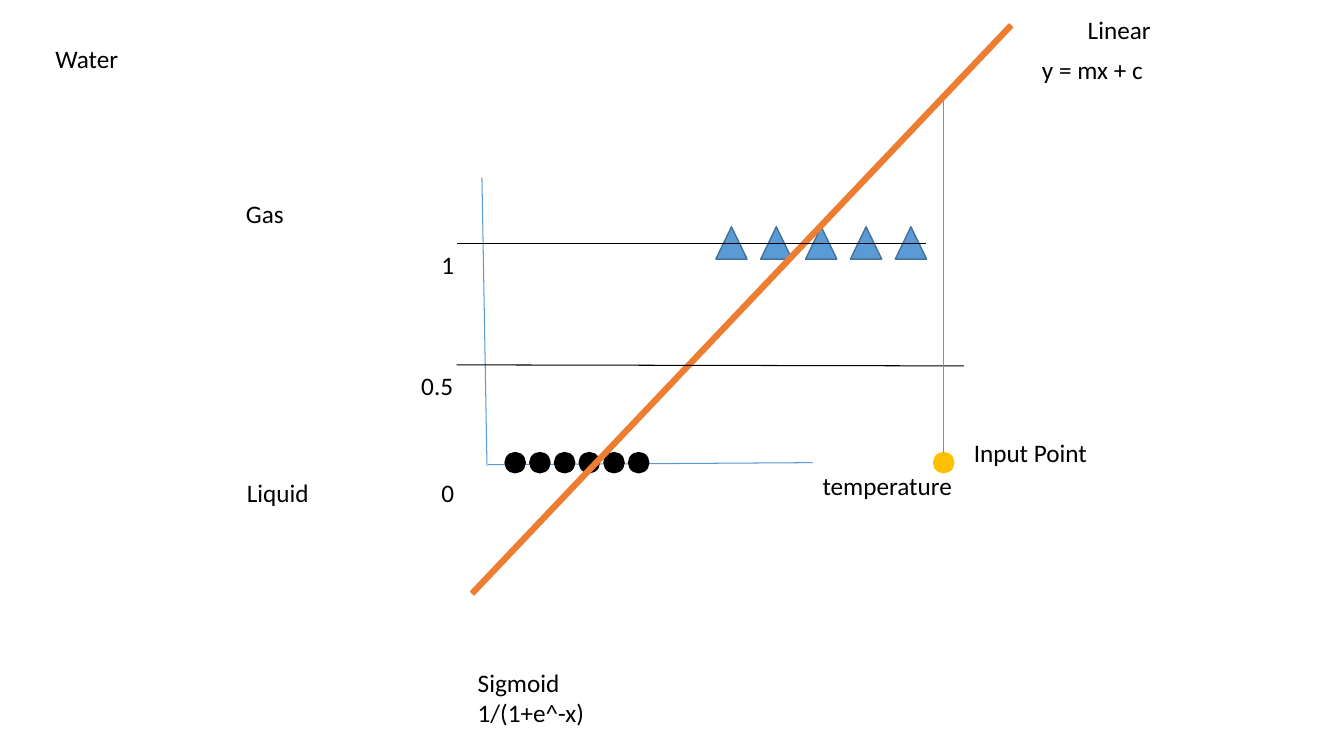
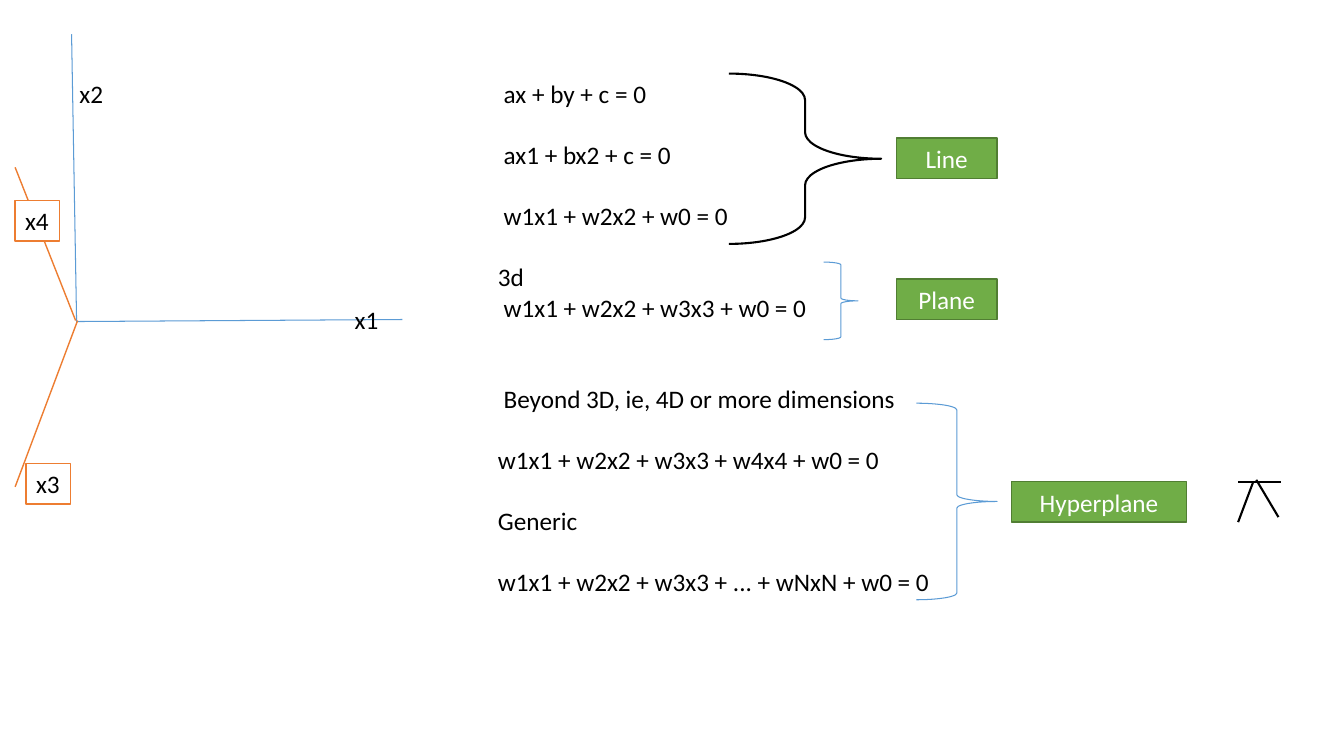
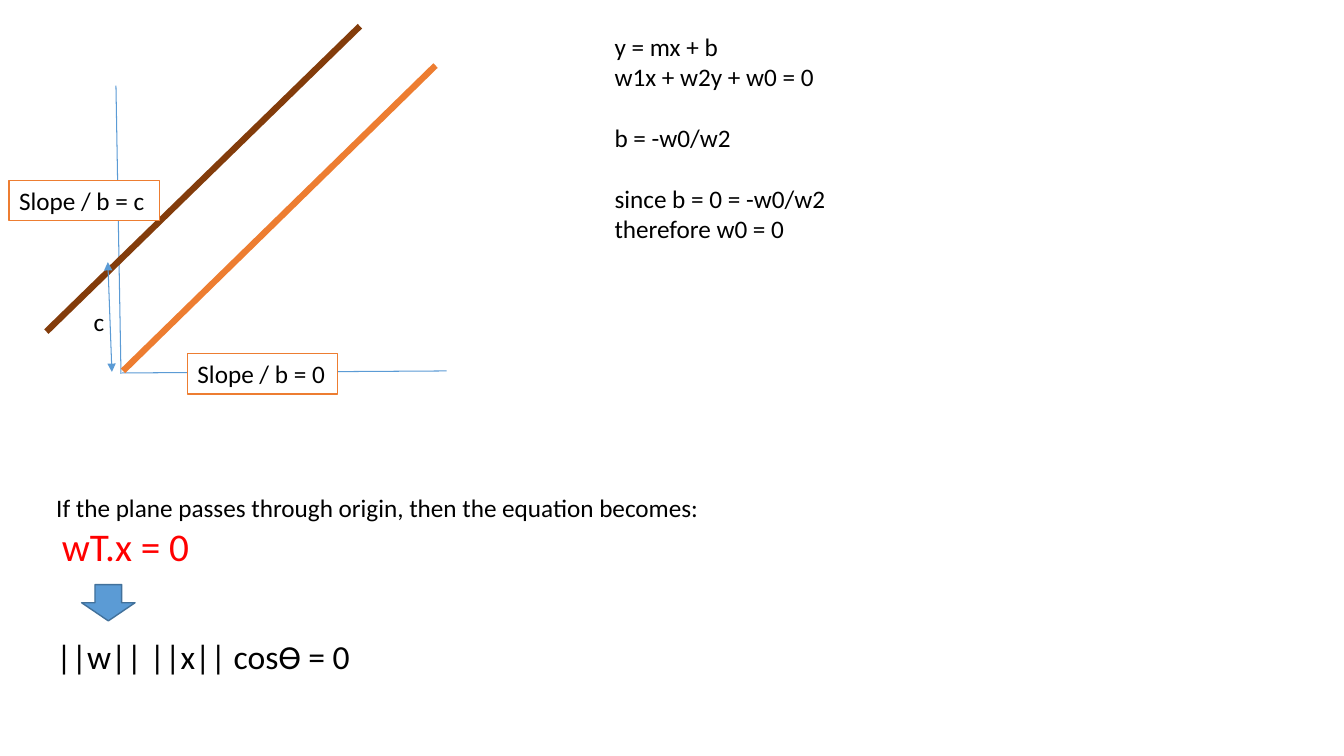
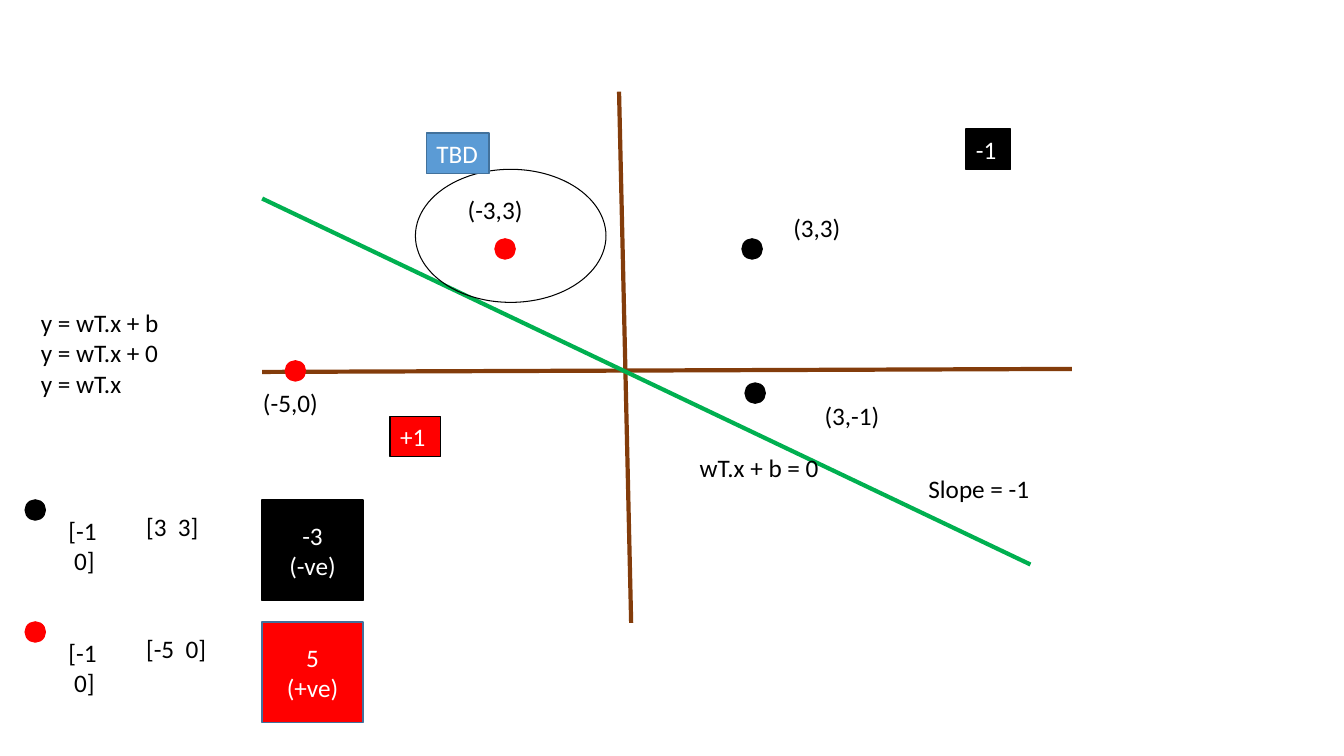
import pptx
import pptx.dml.color
import pptx.enum.shapes
import pptx.enum.text
import pptx.oxml
import pptx.oxml.ns
import pptx.util

Inches = pptx.util.Inches
Pt = pptx.util.Pt
Shape = pptx.enum.shapes.MSO_SHAPE

BLACK, WHITE, RED = "000000", "FFFFFF", "FF0000"
BLUE, DARK_BLUE = "5B9BD5", "42719B"
ORANGE, BROWN, YELLOW = "ED7D31", "833C0B", "FFC000"
GREEN, DARK_GREEN, BRIGHT_GREEN = "70AD47", "517E33", "00B050"


def rgb(color):
    return pptx.dml.color.RGBColor.from_string(color)


def add_drawing_element(parent, tag, **attributes):
    """Append an empty DrawingML element to parent."""
    element = pptx.oxml.parse_xml(f"<a:{tag} {pptx.oxml.ns.nsdecls('a')}/>")
    for name, value in attributes.items():
        element.set(name, value)
    parent.append(element)


class Deck:
    FONT = "Calibri"
    SIZE = 18
    LINE_HEIGHT = 22
    DOT = 0.2
    LABEL_HEIGHT = 0.4

    def __init__(self):
        self.presentation = pptx.Presentation()
        self.presentation.slide_width = Inches(13.33)
        self.presentation.slide_height = Inches(7.5)
        self.slide = None

    def new_slide(self):
        blank_layout = self.presentation.slide_layouts[6]
        self.slide = self.presentation.slides.add_slide(blank_layout)

    def run(self, paragraph, text, color=BLACK, size=SIZE):
        run = paragraph.add_run()
        run.text = text
        run.font.name = self.FONT
        run.font.size = Pt(size)
        run.font.color.rgb = rgb(color)

    def add_lines(self, frame, lines, color=BLACK, size=SIZE, centered=False):
        """Fill a frame; a line is a text or a (line gap above, text) pair."""
        frame.word_wrap = True
        if not centered:
            frame.margin_right = 0
        for index, line in enumerate(lines):
            gap, text = (0, line) if isinstance(line, str) else line
            paragraph = frame.add_paragraph() if index else frame.paragraphs[0]
            align = pptx.enum.text.PP_ALIGN
            paragraph.alignment = align.CENTER if centered else align.LEFT
            if gap:
                paragraph.space_before = Pt(gap * self.LINE_HEIGHT)
            self.run(paragraph, text, color, size)

    def text(self, left, top, width, *lines, height=LABEL_HEIGHT, size=SIZE):
        box = self.slide.shapes.add_textbox(
            Inches(left), Inches(top), Inches(width), Inches(height))
        self.add_lines(box.text_frame, lines, size=size)
        return box

    def shape(self, kind, left, top, width, height, fill=None,
              line=BLACK, line_width=1):
        shape = self.slide.shapes.add_shape(
            kind, Inches(left), Inches(top), Inches(width), Inches(height))
        shape.shadow.inherit = False
        if fill:
            shape.fill.solid()
            shape.fill.fore_color.rgb = rgb(fill)
        else:
            shape.fill.background()
        shape.line.color.rgb = rgb(line)
        shape.line.width = Pt(line_width)
        return shape

    def box(self, left, top, width, *lines, fill=WHITE, line=ORANGE,
            height=LABEL_HEIGHT, color=BLACK, centered=False):
        box = self.shape(Shape.RECTANGLE, left, top, width, height, fill, line)
        box.text_frame.vertical_anchor = pptx.enum.text.MSO_ANCHOR.MIDDLE
        self.add_lines(box.text_frame, lines, color, centered=centered)

    def dot(self, left, top, color=BLACK):
        return self.shape(Shape.OVAL, left, top, self.DOT, self.DOT, color, color)

    def brace(self, left, top, width, height, color=BLUE, line_width=0.75,
              curl=0.083):
        brace = self.shape(Shape.RIGHT_BRACE, left, top, width, height,
                           line=color, line_width=line_width)
        brace.adjustments[0] = curl

    def line(self, start, end, color=BLACK, width=0.75, group=None,
             arrows=False):
        shapes = (group or self.slide).shapes
        connector = shapes.add_connector(
            pptx.enum.shapes.MSO_CONNECTOR.STRAIGHT,
            *(Inches(length) for length in (*start, *end)))
        connector.line.color.rgb = rgb(color)
        connector.line.width = Pt(width)
        if arrows:
            for tag in ("headEnd", "tailEnd"):
                add_drawing_element(connector.get_or_add_ln(), tag,
                                    type="triangle")
        add_drawing_element(connector._element.spPr, "effectLst")
        return connector

    def line_group(self, lines, color, width):
        group = self.slide.shapes.add_group_shape()
        for start, end in lines:
            self.line(start, end, color, width, group)

    def axes(self, left, top):
        self.line_group([
            ((left, top), (left + 0.05, top + 2.86)),
            ((left + 0.06, top + 2.85), (left + 3.28, top + 2.83)),
        ], BLUE, 0.75)


def build_water_states(deck):
    deck.new_slide()
    deck.axes(4.78, 1.76)
    for index in range(6):
        deck.dot(5.01 + 0.245 * index, 4.49)
    for index in range(5):
        deck.shape(Shape.ISOSCELES_TRIANGLE, 7.1 + 0.445 * index, 2.25,
                   0.31, 0.32, BLUE, DARK_BLUE)
    deck.line((4.68, 5.89), (10.03, 0.25), ORANGE, 4.5)
    deck.line((4.53, 3.62), (9.56, 3.63))
    deck.line((4.53, 2.42), (9.18, 2.42))
    input_point = deck.dot(9.26, 4.49, YELLOW)
    projection = deck.line((9.36, 4.49), (9.36, 1), BLUE)
    projection.begin_connect(input_point, 0)
    for left, top, width, label in [
        (8.06, 4.62, 1.5, "temperature"),
        (2.35, 4.69, 0.82, "Liquid"),
        (2.34, 1.92, 0.58, "Gas"),
        (4.28, 4.69, 0.35, "0"),
        (4.28, 2.42, 0.35, "1"),
        (4.08, 3.62, 0.56, "0.5"),
        (10.18, 0.49, 1.34, " y = mx + c"),
        (10.69, 0.09, 0.83, "Linear"),
        (0.45, 0.38, 0.83, "Water"),
        (9.56, 4.29, 1.34, "Input Point"),
    ]:
        deck.text(left, top, width, label)
    deck.text(4.64, 6.57, 1.3, "Sigmoid", "1/(1+e^-x)", height=0.71)


def build_hyperplane(deck):
    deck.new_slide()
    deck.text(
        4.84, 0.73, 5.95,
        " ax + by + c = 0",
        (1, " ax1 + bx2 + c = 0"),
        (1, " w1x1 + w2x2 + w0 = 0"),
        (1, "3d"),
        " w1x1 + w2x2 + w3x3 + w0 = 0",
        (2, " Beyond 3D, ie, 4D or more dimensions"),
        (1, "w1x1 + w2x2 + w3x3 + w4x4 + w0 = 0"),
        (1, "Generic"),
        (1, "w1x1 + w2x2 + w3x3 + ... + wNxN + w0 = 0"),
        height=6.16)
    deck.axes(0.71, 0.34)
    deck.text(3.42, 2.97, 0.44, "x1")
    deck.text(0.69, 0.73, 0.44, "x2")
    deck.line((0.77, 3.18), (0.15, 4.83), ORANGE, 1)
    deck.box(0.26, 4.6, 0.44, "x3")
    deck.line((0.75, 3.18), (0.15, 1.66), ORANGE, 1)
    deck.box(0.15, 1.99, 0.44, "x4")
    for left, top, width, label in [
        (8.89, 1.37, 1, "Line"),
        (8.89, 2.77, 1, "Plane"),
        (10.03, 4.78, 1.74, "Hyperplane"),
    ]:
        deck.box(left, top, width, label, fill=GREEN, line=DARK_GREEN,
                 color=WHITE, centered=True)
    deck.brace(7.23, 0.73, 1.51, 1.69, BLACK, 1.5, 0.174)
    deck.brace(8.17, 2.6, 0.34, 0.77)
    deck.brace(9.09, 4, 0.8, 1.95)
    pi_strokes = [
        ((12.28, 4.78), (12.71, 4.78)),
        ((12.43, 4.78), (12.28, 5.18)),
        ((12.46, 4.76), (12.68, 5.13)),
    ]
    deck.line_group(pi_strokes, BLACK, 1.5)


def build_plane_through_origin(deck):
    deck.new_slide()
    deck.axes(1.15, 0.85)
    deck.line((1.22, 3.68), (4.32, 0.65), ORANGE, 4.5)
    deck.line((0.46, 3.29), (3.57, 0.26), BROWN, 4.5)
    deck.box(1.86, 3.51, 1.49, "Slope / b = 0")
    deck.box(0.09, 1.79, 1.49, "Slope / b = c")
    deck.line((1.07, 2.6), (1.11, 3.69), BLUE, arrows=True)
    deck.text(0.83, 2.99, 0.31, "c")
    deck.text(
        5.94, 0.26, 2.38,
        " y = mx + b",
        " w1x + w2y + w0 = 0",
        (1, " b = -w0/w2"),
        (1, " since b = 0 = -w0/w2"),
        " therefore w0 = 0",
        height=2.52)
    conclusion = deck.text(
        0.46, 4.83, 6.66,
        "If the plane passes through origin, then the equation becomes:",
        height=0.88)
    equation = conclusion.text_frame.add_paragraph()
    deck.run(equation, " ")
    deck.run(equation, "wT.x = 0", RED, 28)
    deck.text(0.46, 6.26, 4.19, "||w|| ||x|| cosƟ = 0", height=0.5, size=24)
    deck.shape(Shape.DOWN_ARROW, 0.81, 5.8, 0.53, 0.36, BLUE, DARK_BLUE)


def build_classification(deck):
    deck.new_slide()
    deck.line((6.14, 0.91), (6.26, 6.18), BROWN, 3)
    deck.line((2.6, 3.69), (10.63, 3.66), BROWN, 3)
    deck.line((2.6, 1.97), (10.22, 5.6), BRIGHT_GREEN, 3)
    for left, top, color in [
        (7.36, 2.37, BLACK),
        (7.39, 3.8, BLACK),
        (2.83, 3.58, RED),
        (4.91, 2.37, RED),
    ]:
        deck.dot(left, top, color)
    for left, top, width, label in [
        (7.77, 2.06, 0.74, "(3,3)"),
        (2.51, 3.79, 0.83, "(-5,0)"),
        (8.08, 3.92, 0.83, "(3,-1)"),
        (4.54, 1.88, 0.83, "(-3,3)"),
        (6.84, 4.44, 1.4, "wT.x + b = 0"),
        (9.11, 4.65, 1.22, "Slope = -1"),
    ]:
        deck.text(left, top, width, label)
    deck.text(0.25, 3, 1.51, " y = wT.x + b", " y = wT.x + 0", " y = wT.x",
              height=1.01)
    for top, color, border, vector, result in [
        (4.96, BLACK, BLACK, "[3  3]", ("-3", "(-ve)")),
        (6.17, RED, DARK_BLUE, "[-5  0]", ("5", "(+ve)")),
    ]:
        deck.dot(0.25, top, color)
        deck.text(0.58, top + 0.1, 0.55, "[-1", " 0]", height=0.71)
        deck.text(1.35, top + 0.06, 0.98, vector)
        deck.box(2.6, top, 1, *result, fill=color, line=border, height=1,
                 color=WHITE, centered=True)
    deck.shape(Shape.OVAL, 4.12, 1.68, 1.89, 1.32, line_width=0.75)
    for left, top, width, label, fill, border in [
        (9.58, 1.28, 0.44, "-1", BLACK, BLACK),
        (3.87, 4.13, 0.5, "+1", RED, BLACK),
        (4.23, 1.32, 0.62, "TBD", BLUE, DARK_BLUE),
    ]:
        deck.box(left, top, width, label, fill=fill, line=border, color=WHITE)


def main():
    deck = Deck()
    build_water_states(deck)
    build_hyperplane(deck)
    build_plane_through_origin(deck)
    build_classification(deck)
    deck.presentation.save("out.pptx")


if __name__ == "__main__":
    main()
